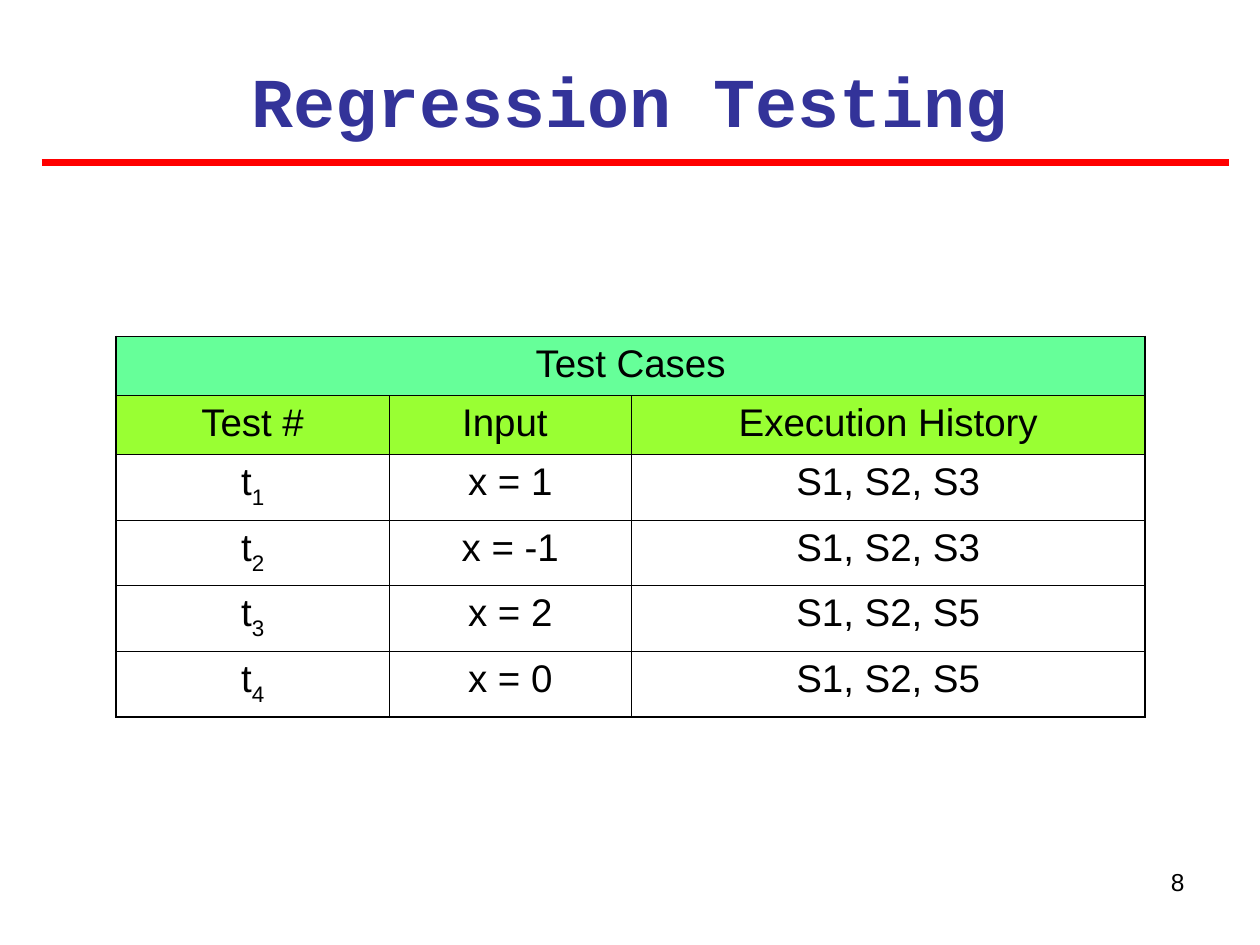
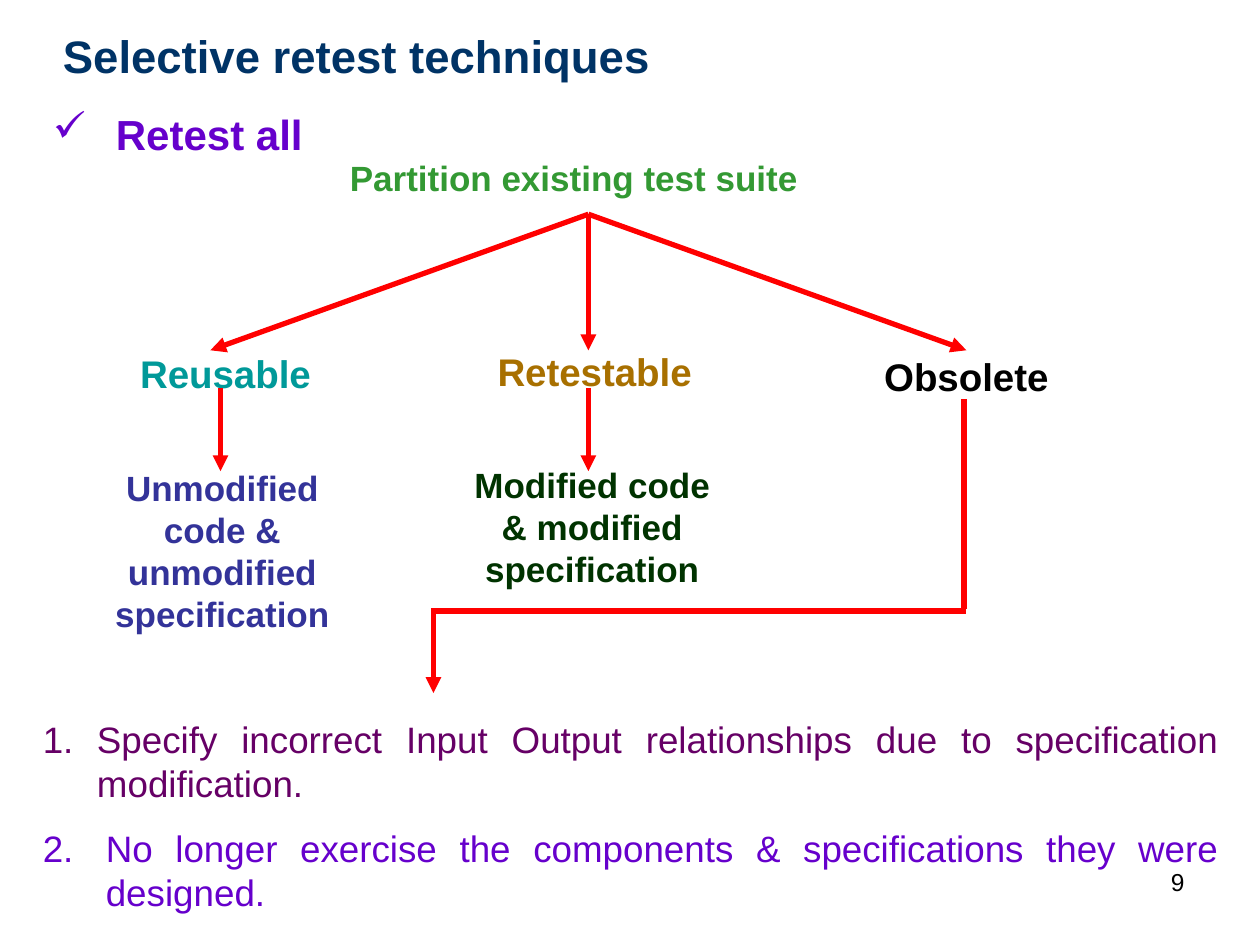
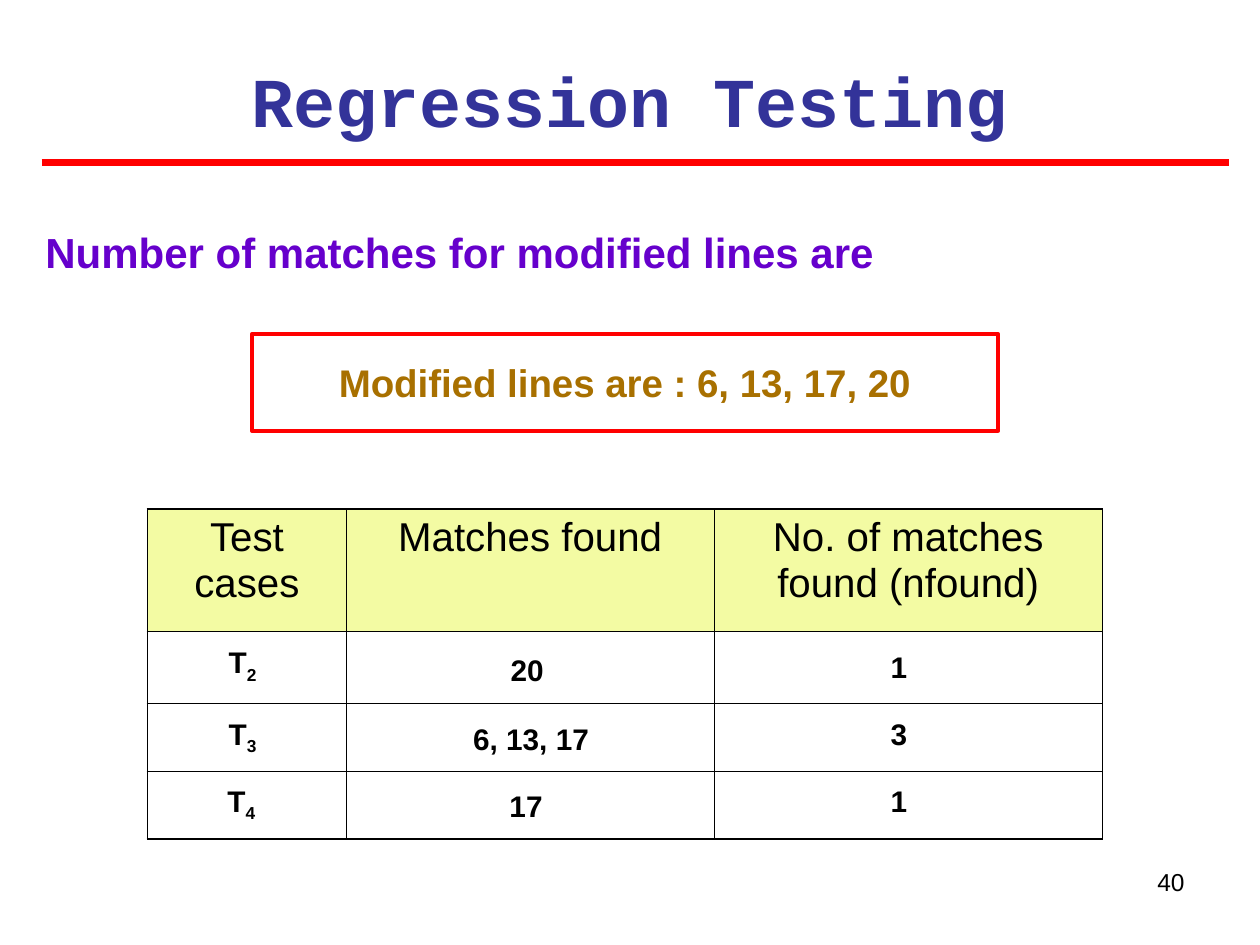
import pptx
import pptx.util
import pptx.dml.color
import pptx.enum.shapes
import pptx.enum.text
import pptx.oxml.ns
from lxml import etree

PX = 9144  # one hundred px to the inch
BLACK, RED, WHITE = "000000", "FF0000", "FFFFFF"
NAVY, INDIGO, VIOLET, PLUM = "003366", "333399", "6600CC", "660066"
GREEN, TEAL, GOLD, PINE = "339933", "009999", "A87000", "003300"
MINT, LIME, LEMON = "66FF99", "99FF33", "F3FBA3"
ALIGN = {
    "l": pptx.enum.text.PP_ALIGN.LEFT,
    "c": pptx.enum.text.PP_ALIGN.CENTER,
    "r": pptx.enum.text.PP_ALIGN.RIGHT,
    "j": pptx.enum.text.PP_ALIGN.JUSTIFY,
}


def px(*nums):
    return [pptx.util.Emu(num * PX) for num in nums]


def paint(part, tint):
    """Give a fill or line format, or a font, a solid colour."""
    if hasattr(part, "solid"):
        part.solid()
        part = part.fore_color
    else:
        part = part.color
    part.rgb = pptx.dml.color.RGBColor.from_string(tint)


def node(parent, tag, **attrs):
    return etree.SubElement(parent, pptx.oxml.ns.qn("a:" + tag), **attrs)


class Deck:
    """Holds the style and the slide being built."""

    def __init__(self):
        self.prs = pptx.Presentation()
        self.prs.slide_width, self.prs.slide_height = px(1000, 750)
        self.slide = None

    def page(self, num):
        """Start a slide with its number at the lower right."""
        self.slide = self.prs.slides.add_slide(self.prs.slide_layouts[6])
        paint(self.slide.background.fill, WHITE)
        self.text(num, (717, 683, 233, 52), 14, bold=False, align="r", pad=(10, 5))

    def head(self, words):
        """Set the large title above its red rule."""
        self.line((33, 129), (975, 129), width=4.5)
        self.text(words, (33, 35, 933, 77), 40, INDIGO, face="Courier New", pad=(10, 11, 10, 0))

    def runs(self, para, words, size, tint, bold=False, align="c", face="Arial"):
        """Add runs to a paragraph; an underscore starts a subscript."""
        para.alignment = ALIGN[align]
        for spot, part in enumerate(words.split("_")):
            run = para.add_run()
            run.text = part
            run.font.size = pptx.util.Pt(size)
            run.font.name = face
            run.font.bold = bold
            paint(run.font, tint)
            if spot:
                run._r.get_or_add_rPr().set("baseline", "-25000")

    def fill(self, shape, words, size, tint, pad, bold, align, face="Arial", mark=None, hang=0):
        """Put one paragraph in a shape, with an optional hanging mark."""
        frame = shape.text_frame
        frame.word_wrap = True
        frame.vertical_anchor = pptx.enum.text.MSO_ANCHOR.TOP
        left, top, right, low = px(*(pad if len(pad) == 4 else pad * 2))
        frame.margin_left, frame.margin_top = left, top
        frame.margin_right, frame.margin_bottom = right, low
        para = frame.paragraphs[0]
        if mark:
            props = para._p.get_or_add_pPr()
            props.set("marL", str(hang * PX))
            props.set("indent", str(-hang * PX))
            node(node(props, "buClr"), "srgbClr", val=tint)
            if isinstance(mark, int):
                node(props, "buAutoNum", type="arabicPeriod", startAt=str(mark))
            else:
                node(props, "buChar", char=mark)
        para.line_spacing = pptx.util.Pt(round(size * 1.2, 1))
        self.runs(para, words, size, tint, bold, align, face)

    def text(self, words, box, size, tint=BLACK, bold=True, align="c", pad=(0, 0), **more):
        shape = self.slide.shapes.add_textbox(*px(*box))
        self.fill(shape, words, size, tint, pad, bold, align, **more)

    def frame(self, words, box, size, tint):
        """Draw a red outlined box with bold text."""
        kind = pptx.enum.shapes.MSO_SHAPE.RECTANGLE
        shape = self.slide.shapes.add_shape(kind, *px(*box))
        shape.shadow.inherit = False
        shape.fill.background()
        paint(shape.line.fill, RED)
        shape.line.width = pptx.util.Pt(2.25)
        self.fill(shape, words, size, tint, (50, 20), True, "c")

    def line(self, start, end, width=3, arrow=False):
        kind = pptx.enum.shapes.MSO_CONNECTOR.STRAIGHT
        link = self.slide.shapes.add_connector(kind, *px(*start, *end))
        paint(link.line.fill, RED)
        link.line.width = pptx.util.Pt(width)
        if arrow:
            node(link.line._get_or_add_ln(), "tailEnd", type="triangle")
        node(link._element.spPr, "effectLst")

    def grid(self, spot, cols, rows, cells, fills, size):
        """Add a table; a row of one cell spans all columns."""
        box = px(*spot, sum(cols), sum(rows))
        table = self.slide.shapes.add_table(len(rows), len(cols), *box).table
        table.first_row = table.horz_banding = False
        for col, wide in zip(table.columns, px(*cols)):
            col.width = wide
        for row, high in zip(table.rows, px(*rows)):
            row.height = high
        last, end = len(rows) - 1, len(cols) - 1
        for r, words in enumerate(cells):
            span = len(words) == 1
            if span:
                table.cell(r, 0).merge(table.cell(r, end))
            for c, word in enumerate(words):
                cell = table.cell(r, c)
                outer = {"L": c == 0, "R": span or c == end, "T": r == 0, "B": r == last}
                self.edge(cell, outer)
                if r < len(fills):
                    paint(cell.fill, fills[r])
                else:
                    cell.fill.background()
                if word:
                    self.runs(cell.text_frame.paragraphs[0], word, size, BLACK)

    def edge(self, cell, outer):
        """Rule a cell, heavier on the sides that bound the table."""
        props = cell._tc.get_or_add_tcPr()
        for side, heavy in outer.items():
            rule = node(props, "ln" + side, w=str(pptx.util.Pt(1.08 if heavy else 0.45)))
            node(node(rule, "solidFill"), "srgbClr", val=BLACK)


def cases(deck):
    deck.page("8")
    deck.head("Regression Testing")
    tests = [("1", "S3"), ("-1", "S3"), ("2", "S5"), ("0", "S5")]
    cells = [["Test Cases"], ["Test #", "Input ", "Execution History"]]
    for num, (x, stop) in enumerate(tests, 1):
        cells.append([f"t_{num}", f"x = {x}", f"S1, S2, {stop}"])
    deck.grid((92, 267), (217, 192, 408), [47] * 2 + [52] * 4, cells, (MINT, LIME), 22)


def retest(deck):
    deck.page("9")
    deck.text("Selective retest techniques", (50, 22, 933, 43), 26, NAVY, align="j")
    deck.text("Retest all", (42, 86, 900, 40), 24, VIOLET, align="j", mark="✓", hang=50)
    deck.text("Partition existing test suite", (235, 124, 441, 33), 20, GREEN)
    deck.text("Reusable", (50, 278, 258, 37), 22, TEAL)
    deck.text("Retestable", (372, 276, 200, 37), 22, GOLD)
    deck.text("Obsolete", (647, 280, 240, 37), 22)
    for x in (467, 167, 767):
        deck.line((467, 170), (x, 278), arrow=True)
    deck.text("Unmodified code & unmodified specification", (64, 370, 225, 133), 20, INDIGO)
    deck.text("Modified code & modified specification", (374, 368, 192, 100), 20, PINE)
    for x in (175, 467):
        deck.line((x, 308), (x, 374), arrow=True)
    notes = [
        ("Specify incorrect Input Output relationships due to specification modification.", PLUM, 43),
        ("No longer exercise the components & specifications they were designed.", VIOLET, 50),
    ]
    for num, (words, tint, hang) in enumerate(notes):
        box = (34, 569 + 86 * num, 933, 70)
        deck.text(words, box, 21, tint, bold=False, align="j", mark=num + 1, hang=hang)
    deck.line((765, 317), (765, 483))
    deck.line((342, 485), (767, 485))
    deck.line((344, 483), (344, 550), arrow=True)


def matches(deck):
    deck.page("40")
    deck.head("Regression Testing")
    deck.text("Number of matches for modified lines are", (36, 180, 925, 40), 24, VIOLET, align="j")
    deck.frame("Modified lines are : 6, 13, 17, 20", (200, 265, 592, 77), 22, GOLD)
    heads = ["Test cases", "Matches found", "No. of matches found (nfound)"]
    cells = [heads] + [[""] * 3] * 3
    deck.grid((117, 404), (158, 292, 308), (97, 57, 54, 54), cells, [LEMON], 23)
    columns = [
        (("T_2", "T_3", "T_4"), (159, 159, 158), (67, 67, 67), 32, (515, 572, 625)),
        (("20", "6, 13, 17", "17"), (385, 347, 384), (67, 149, 67), 28, (517, 572, 625)),
        (("1", "3", "1"), (660, 660, 660), (107, 107, 107), 28, (515, 568, 621)),
    ]
    for words, lefts, wides, high, tops in columns:
        for word, left, wide, top in zip(words, lefts, wides, tops):
            deck.text(word, (left, top, wide, high), 17)


def main():
    deck = Deck()
    for build in (cases, retest, matches):
        build(deck)
    deck.prs.save("out.pptx")


if __name__ == "__main__":
    main()
